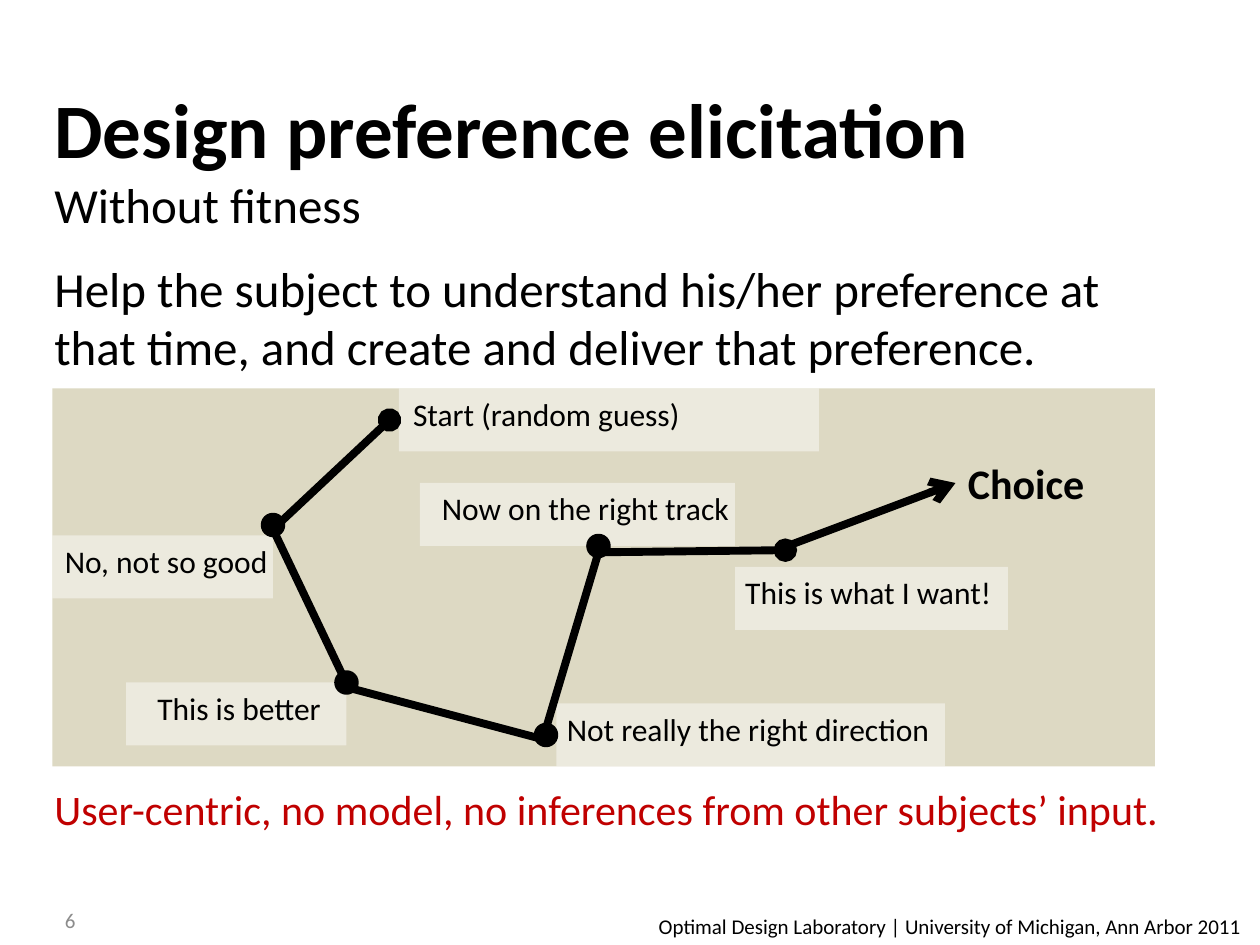
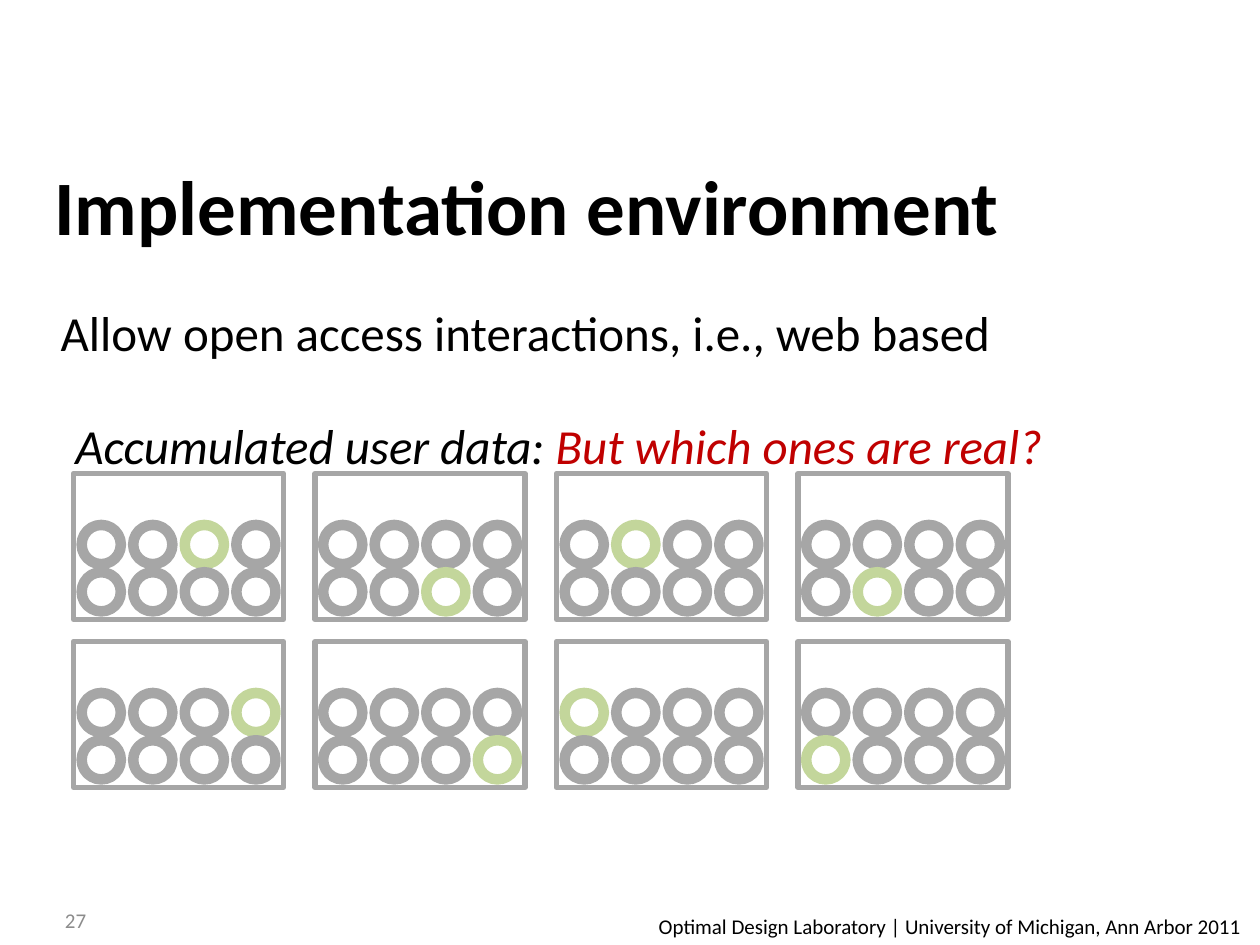
from dataclasses import dataclass
from itertools import product

from lxml.etree import SubElement
from pptx import Presentation
from pptx.dml.color import RGBColor as Rgb
from pptx.enum.shapes import MSO_CONNECTOR as Link, MSO_SHAPE as Preset
from pptx.enum.text import MSO_ANCHOR as Anchor, MSO_AUTO_SIZE as AutoSize
from pptx.oxml.ns import qn
from pptx.util import Inches, Pt


@dataclass(frozen=True)
class Theme:
    font: str = "Calibri"
    ink: str = "000000"
    paper: str = "FFFFFF"
    accent: str = "C00000"
    sand: str = "DDD9C3"
    ring: str = "A6A6A6"
    chosen: str = "C3D69B"
    muted: str = "8C8C8C"
    title: int = 44
    body: int = 28
    strong: int = 24
    label: int = 18
    small: int = 12


THEME = Theme()
WIDTH, HEIGHT = Inches(10), Inches(7.5)
COLUMNS, ROWS = 120, 90
FOOTER = "Optimal Design Laboratory | University of Michigan, Ann Arbor 2011"

LABELS = [
    ("Start (random guess)", (38, 37, 40), (38.16, 28.1)),
    ("No, not so good", (5, 51, 21), (5, 22)),
    ("This is better", (12, 65, 21), (13.8, 18.2)),
    ("Not really the right direction", (53, 67, 37), (52.8, 37.4)),
    ("Now on the right track", (40, 46, 30), (40.9, 30.1)),
    ("This is what I want!", (70, 54, 26), (69.8, 26.2)),
]
SEARCH_PATH = [(37.1, 40), (26, 50.4), (33.2, 65.5), (51.7, 70.4), (57, 52.6), (74.8, 52.4)]
STOPS = [(25, 49), (32, 64), (51, 69), (56, 51)]

CHOSEN_RINGS = [
    [(0, 2), (1, 2), (0, 1), (1, 1)],
    [(0, 3), (1, 3), (0, 0), (1, 0)],
]


def spot(column, row):
    return round(WIDTH * column / COLUMNS), round(HEIGHT * row / ROWS)


def area(left, top, width, height):
    return *spot(left, top), *spot(width, height)


def style(run, size, color=THEME.ink, bold=False, italic=False):
    run.font.name = THEME.font
    run.font.size = Pt(size)
    run.font.bold = bold
    run.font.italic = italic
    run.font.color.rgb = Rgb.from_string(color)


def add_text(slide, place, text, size, color=THEME.ink, bold=False, wrap=True, grow=True):
    box = slide.shapes.add_textbox(*area(*place))
    frame = box.text_frame
    frame.text = text
    frame.word_wrap = wrap
    frame.auto_size = AutoSize.SHAPE_TO_FIT_TEXT if grow else AutoSize.NONE
    frame.vertical_anchor = Anchor.TOP if grow else Anchor.MIDDLE
    for paragraph in frame.paragraphs:
        for run in paragraph.runs:
            style(run, size, color, bold)
    return box


def add_block(shapes, preset, place, fill=None, line=None, weight=0, opacity=None):
    block = shapes.add_shape(preset, *area(*place))
    block.shadow.inherit = False
    if fill:
        block.fill.solid()
        block.fill.fore_color.rgb = Rgb.from_string(fill)
    else:
        block.fill.background()
    if line:
        draw_line(block.line, line, weight)
    else:
        block.line.fill.background()
    if opacity:
        tint = block._element.spPr.find(f"{qn('a:solidFill')}/{qn('a:srgbClr')}")
        SubElement(tint, qn("a:alpha"), val=str(opacity * 1000))
    return block


def draw_line(line, color, weight):
    line.color.rgb = Rgb.from_string(color)
    line.width = Pt(weight)


def add_ends(stroke, **ends):
    outline = stroke._element.spPr.find(qn("a:ln"))
    for end, kind in ends.items():
        SubElement(outline, qn(f"a:{end}"), type=kind)


def add_search_path(slide):
    start, *rest = [spot(*point) for point in SEARCH_PATH]
    builder = slide.shapes.build_freeform(*start)
    builder.add_line_segments(rest, close=False)
    search = builder.convert_to_shape()
    search.shadow.inherit = False
    search.fill.background()
    draw_line(search.line, THEME.ink, 4.5)
    add_ends(search, headEnd="oval", tailEnd="oval")


def add_arrow(slide, start, target):
    arrow = slide.shapes.add_connector(Link.STRAIGHT, *spot(*start), *spot(*start))
    arrow.end_connect(target, 1)
    draw_line(arrow.line, THEME.ink, 4.5)
    add_ends(arrow, tailEnd="arrow")
    SubElement(arrow._element.spPr, qn("a:effectLst"))


def add_panel(slide, left, top, chosen):
    panel = slide.shapes.add_group_shape()
    for row, column in product(range(2), range(4)):
        color = THEME.chosen if (row, column) == chosen else THEME.ring
        place = (left + 0.78 + 4.91 * column, top + 4.9 + 4.5 * row, 3.73, 3.73)
        add_block(panel.shapes, Preset.OVAL, place, THEME.paper, color, 6)
    add_block(panel.shapes, Preset.RECTANGLE, (left, top, 20, 13.9), line=THEME.ring, weight=3)


def add_frame(deck, title, number):
    slide = deck.slides.add_slide(deck.slide_layouts[6])
    add_text(slide, (61.56, 86.4, 58.44, 3.6), FOOTER, THEME.small, wrap=False)
    add_text(slide, (5, 85.2, 28, 4.8), number, THEME.small, THEME.muted, grow=False)
    heading = add_text(slide, (4, 5, 108, 29), title, THEME.title, bold=True, grow=False)
    return slide, heading.text_frame


def build_elicitation(deck):
    slide, heading = add_frame(deck, "Design preference elicitation", "6")
    subtitle = heading.add_paragraph()
    subtitle.text = "Without fitness"
    style(subtitle.runs[0], THEME.body)
    heading.margin_bottom = Inches(0.8)

    add_block(slide.shapes, Preset.RECTANGLE, (5, 37, 105, 36), THEME.sand)
    add_text(slide, (4, 24, 110.4, 12.5),
             "Help the subject to understand his/her preference at that time, "
             "and create and deliver that preference.", THEME.body)
    for _, (left, top, width), _ in LABELS:
        add_block(slide.shapes, Preset.RECTANGLE, (left, top, width, 6), THEME.paper, opacity=45)
    add_search_path(slide)
    for words, (_, top, _), (left, width) in LABELS:
        add_text(slide, (left, top, width, 4.8), words, THEME.label, wrap=False)
    for stop in STOPS:
        add_block(slide.shapes, Preset.OVAL, (*stop, 2, 2), THEME.ink, THEME.ink, 2)
    choice = add_text(slide, (91, 43, 13.6, 6), "Choice", THEME.strong, bold=True, wrap=False)
    add_arrow(slide, (75, 52), choice)
    add_text(slide, (4, 74, 108, 6),
             "User-centric, no model, no inferences from other subjects’ input.",
             THEME.strong, THEME.accent)


def build_environment(deck):
    slide, _ = add_frame(deck, "Implementation environment", "27")
    add_text(slide, (4.6, 28.2, 115.4, 6.8),
             "Allow open access interactions, i.e., web based", THEME.body)
    for row, panels in enumerate(CHOSEN_RINGS):
        for column, chosen in enumerate(panels):
            add_panel(slide, 7 + 23 * column, 45.1 + 16 * row, chosen)
    caption = add_text(slide, (6, 39, 95.5, 6.8), "Accumulated user data: ",
                       THEME.body, wrap=False).text_frame.paragraphs[0]
    question = caption.add_run()
    question.text = "But which ones are real?"
    for run, color in zip(caption.runs, (THEME.ink, THEME.accent)):
        style(run, THEME.body, color, italic=True)


def main():
    deck = Presentation()
    deck.slide_width, deck.slide_height = WIDTH, HEIGHT
    build_elicitation(deck)
    build_environment(deck)
    deck.save("out.pptx")


if __name__ == "__main__":
    main()
